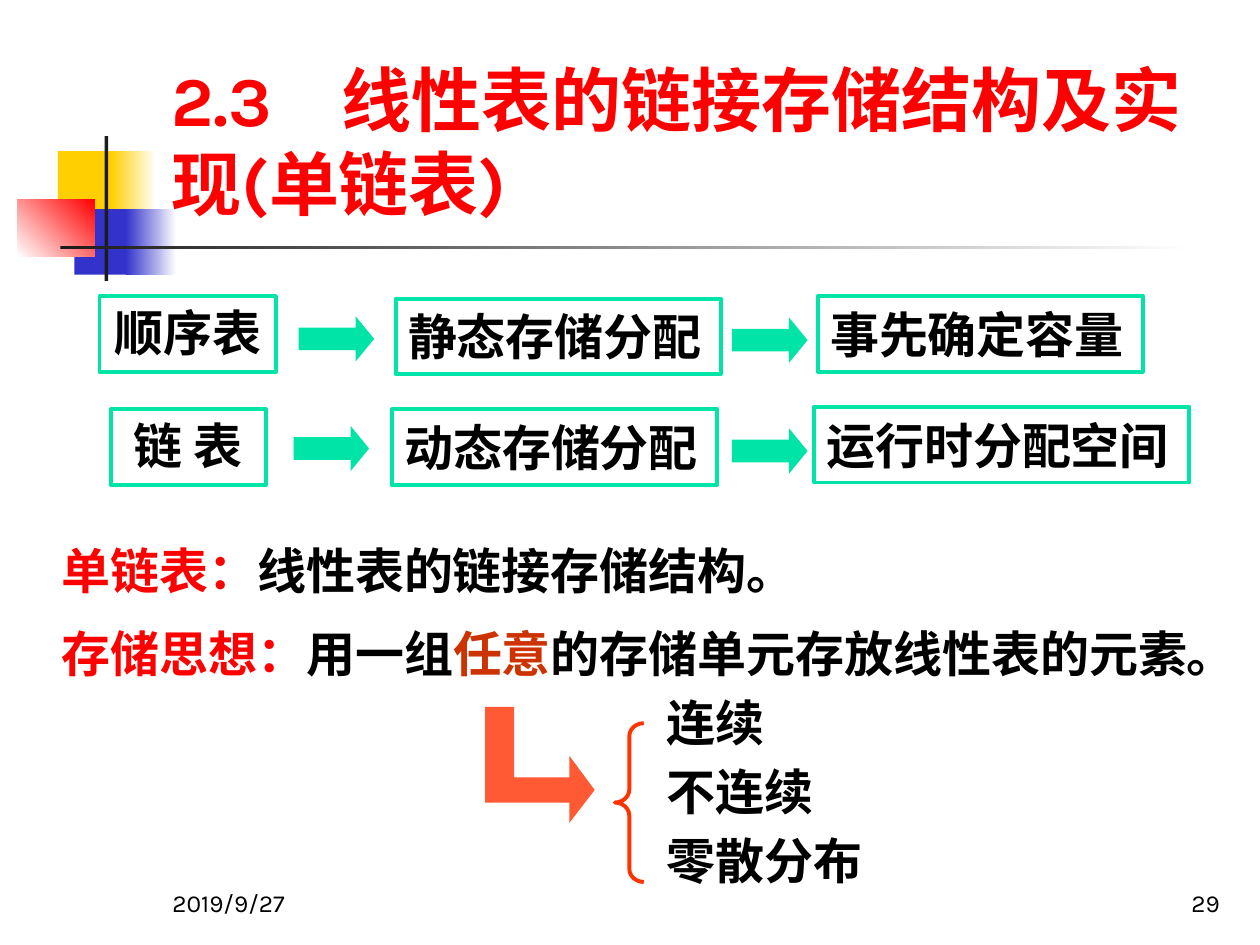
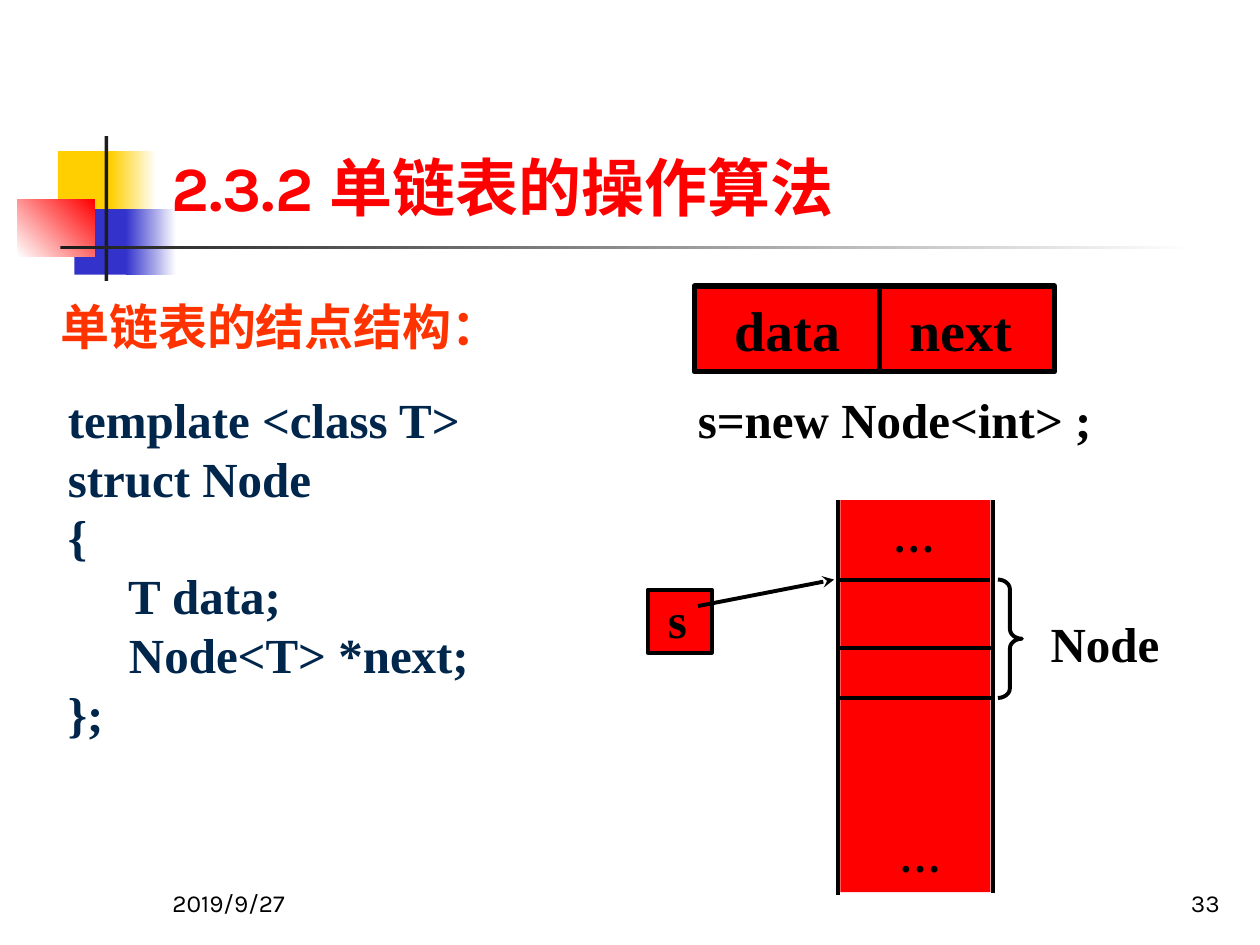
from lxml import etree
from pptx import Presentation
from pptx.dml.color import RGBColor
from pptx.enum.shapes import MSO_CONNECTOR, MSO_SHAPE
from pptx.enum.text import MSO_ANCHOR, PP_ALIGN
from pptx.oxml.ns import qn
from pptx.util import Pt

PX = 9144  # EMU per px, 100 px to the inch
RECT, ARROW = MSO_SHAPE.RECTANGLE, MSO_SHAPE.RIGHT_ARROW
LEFT_BRACE, RIGHT_BRACE = MSO_SHAPE.LEFT_BRACE, MSO_SHAPE.RIGHT_BRACE
STRAIGHT = MSO_CONNECTOR.STRAIGHT
TOP, MIDDLE, BOTTOM = MSO_ANCHOR.TOP, MSO_ANCHOR.MIDDLE, MSO_ANCHOR.BOTTOM
LEFT, CENTER, RIGHT, JUSTIFY = PP_ALIGN.LEFT, PP_ALIGN.CENTER, PP_ALIGN.RIGHT, PP_ALIGN.JUSTIFY

KARLA, CJK, ARIAL, SERIF = "Karla", "Noto Sans CJK SC", "Arial", "Times New Roman"
COLORS = {
    "black": "000000", "white": "FFFFFF", "red": "FF0000", "yellow": "FFCF01",
    "blue": "3333CC", "rule": "1C1C1C", "green": "00E4A8", "orange": "FF3300",
    "rust": "CC3300", "coral": "FF5A33", "navy": "00264C",
}
RGB = {name: RGBColor.from_string(value) for name, value in COLORS.items()}


def place(slide, kind, box, fill=None, line=None, weight=2.25):
    """Add a preset shape, or a text box when kind is None."""
    box = [value * PX for value in box]
    if kind is None:
        return slide.shapes.add_textbox(*box)
    shape = slide.shapes.add_shape(kind, *box)
    shape.shadow.inherit = False
    if fill:
        shape.fill.solid()
        shape.fill.fore_color.rgb = RGB[fill]
    else:
        shape.fill.background()
    if line:
        shape.line.color.rgb = RGB[line]
        shape.line.width = Pt(weight)
    else:
        shape.line.fill.background()
    return shape


def write(shape, lines, font, size=28, color="black", bold=True,
          anchor=TOP, align=LEFT, gap=0):
    """Fill a shape; each line is a string or a list of (text, color) parts."""
    frame = shape.text_frame
    frame.word_wrap = True
    frame.vertical_anchor = anchor
    for index, line in enumerate(lines):
        paragraph = frame.add_paragraph() if index else frame.paragraphs[0]
        paragraph.alignment = align
        if index and gap:
            paragraph.space_before = Pt(gap)
        parts = [(line, color)] if isinstance(line, str) else line
        for text, part_color in parts:
            run = paragraph.add_run()
            run.text = text
            run.font.size, run.font.bold, run.font.name = Pt(size), bold, font
            run.font.color.rgb = RGB[part_color]
            if font != SERIF:
                east_asian = etree.SubElement(run.font._element, qn("a:ea"))
                east_asian.set("typeface", CJK)
    return frame


prs = Presentation()
prs.slide_width, prs.slide_height = 1000 * PX, 750 * PX

# Shared ornament, title and footer: box, colour, fade colour, angle
ORNAMENT = [
    ((46, 120, 48, 52), "yellow", None, 0),
    ((88, 120, 36, 52), "yellow", "white", 0),
    ((59, 166, 46, 52), "blue", None, 0),
    ((100, 166, 40, 52), "blue", "white", 0),
    ((14, 158, 61, 46), "white", "red", 45),
    ((83, 108, 3, 115), "rule", None, 0),
    ((48, 195, 900, 3), "rule", "white", 0),
]
HEADINGS = [
    ("2.3　线性表的链接存储结构及实现(单链表)", 40, "29"),
    ("2.3.2 单链表的操作算法", 36, "33"),
]
slides = []
for title, title_size, number in HEADINGS:
    slide = prs.slides.add_slide(prs.slide_layouts[6])
    slides.append(slide)
    for box, color, fade, angle in ORNAMENT:
        patch = place(slide, RECT, box, color)
        if fade:
            patch.fill.gradient()
            patch.fill.gradient_angle = angle
            for stop, stop_color in zip(patch.fill.gradient_stops, (color, fade)):
                stop.color.rgb = RGB[stop_color]
    write(place(slide, None, (126, 23, 852, 160)), [title], KARLA, title_size, "red", anchor=BOTTOM)
    for left, text, align in [(127, "2019/9/27", LEFT), (770, number, RIGHT)]:
        write(place(slide, None, (left, 683, 208, 50)), [text], KARLA, 14,
              bold=False, anchor=BOTTOM, align=align)
storage, node = slides

# Slide 1: sequential list against linked list
BOXES = [
    ((79, 235, 140, 60), "顺序表"),
    ((314, 237, 258, 60), "静态存储分配"),
    ((649, 235, 258, 60), "事先确定容量"),
    ((88, 325, 123, 60), "链 表"),
    ((311, 325, 258, 60), "动态存储分配"),
    ((646, 323, 298, 60), "运行时分配空间"),
]
for index, (box, text) in enumerate(BOXES):
    starts_row = index % 3 == 0
    write(place(storage, RECT, box, line="green"), [text], ARIAL if starts_row else CJK,
          anchor=TOP if starts_row else MIDDLE, align=CENTER if starts_row else LEFT)
for left, top in [(237, 251), (581, 252), (233, 338), (581, 340)]:
    arrow = place(storage, ARROW, (left, top, 60, 36), "green")
    arrow.adjustments[1] = 0.41

# Slide 1: definition and storage idea
write(place(storage, None, (39, 424, 961, 127)), [
    [("单链表：", "red"), ("线性表的链接存储结构。", "black")],
    [("存储思想：", "red"), ("用一组", "black"), ("任意", "rust"),
     ("的存储单元存放线性表的元素。", "black")],
], CJK, gap=14)

# Slide 1: what "any" storage units means
write(place(storage, None, (519, 545, 228, 169)), ["连续", "不连续", "零散分布"], CJK, gap=5.6)
cases_brace = place(storage, LEFT_BRACE, (488, 574, 23, 126), line="orange")
cases_brace.adjustments[0] = 0.45
outline = storage.shapes.build_freeform(472, 627, scale=PX)
outline.add_line_segments([(452, 600), (452, 617), (408, 617), (408, 561), (385, 561),
                           (385, 637), (452, 637), (452, 653)], close=True)
bent_arrow = outline.convert_to_shape()
bent_arrow.shadow.inherit = False
bent_arrow.fill.solid()
bent_arrow.fill.fore_color.rgb = RGB["coral"]
bent_arrow.line.fill.background()

# Slide 2: node declaration
write(place(node, None, (38, 223, 408, 72)), ["单链表的结点结构："], ARIAL, color="orange", anchor=MIDDLE)
write(place(node, None, (44, 304, 413, 290)), [
    "template <class T>",
    "struct Node",
    "{",
    "     T data;",
    "     Node<T> *next;",
    "};",
], SERIF, color="navy", align=JUSTIFY)
write(place(node, None, (544, 304, 374, 57)), ["s=new Node<int> ;"], SERIF)

# Slide 2: the two fields of a node, set on tab stops
fields = place(node, RECT, (551, 227, 286, 68), "red", "black", 3)
field_line = write(fields, ["\tdata\tnext"], SERIF, 32, anchor=MIDDLE).paragraphs[0]
tab_list = etree.SubElement(field_line._p.get_or_add_pPr(), qn("a:tabLst"))
for position in (22, 161):
    etree.SubElement(tab_list, qn("a:tab"), pos=str(position * PX), algn="l")

# Slide 2: memory column and pointer
place(node, RECT, (667, 397, 119, 311), "red")
for left, top in [(700, 396), (705, 650)]:
    dots = write(place(node, None, (left, top, 56, 54)), ["…"], SERIF, 24)
    dots.paragraphs[0].line_spacing = 1.1
    dots.paragraphs[0].runs[0].font.italic = True
pointer = write(place(node, RECT, (514, 468, 51, 50), "red", "black"), ["s"], SERIF)
pointer.margin_left = 16 * PX
pointer.margin_top = pointer.margin_right = pointer.margin_bottom = 0
node_brace = place(node, RIGHT_BRACE, (792, 460, 19, 94), line="black")
node_brace.adjustments[0] = 0.41
write(place(node, None, (824, 482, 118, 57)), ["Node"], SERIF)

# Slide 2: field divider, column sides, cell borders, pointer arrow
LINES = [
    ((698, 227, 698, 295), 3, False),
    ((665, 397, 665, 710), 2.25, False),
    ((788, 397, 788, 709), 2.25, False),
    ((665, 460, 786, 460), 2.25, False),
    ((667, 514, 787, 514), 2.25, False),
    ((667, 554, 787, 554), 2.25, False),
    ((554, 481, 662, 460), 2.25, True),
]
for ends, weight, has_head in LINES:
    line = node.shapes.add_connector(STRAIGHT, *[value * PX for value in ends])
    line.line.color.rgb = RGB["black"]
    line.line.width = Pt(weight)
    if has_head:
        etree.SubElement(line.line._get_or_add_ln(), qn("a:tailEnd"), type="stealth")
    etree.SubElement(line._element.spPr, qn("a:effectLst"))

prs.save("out.pptx")
